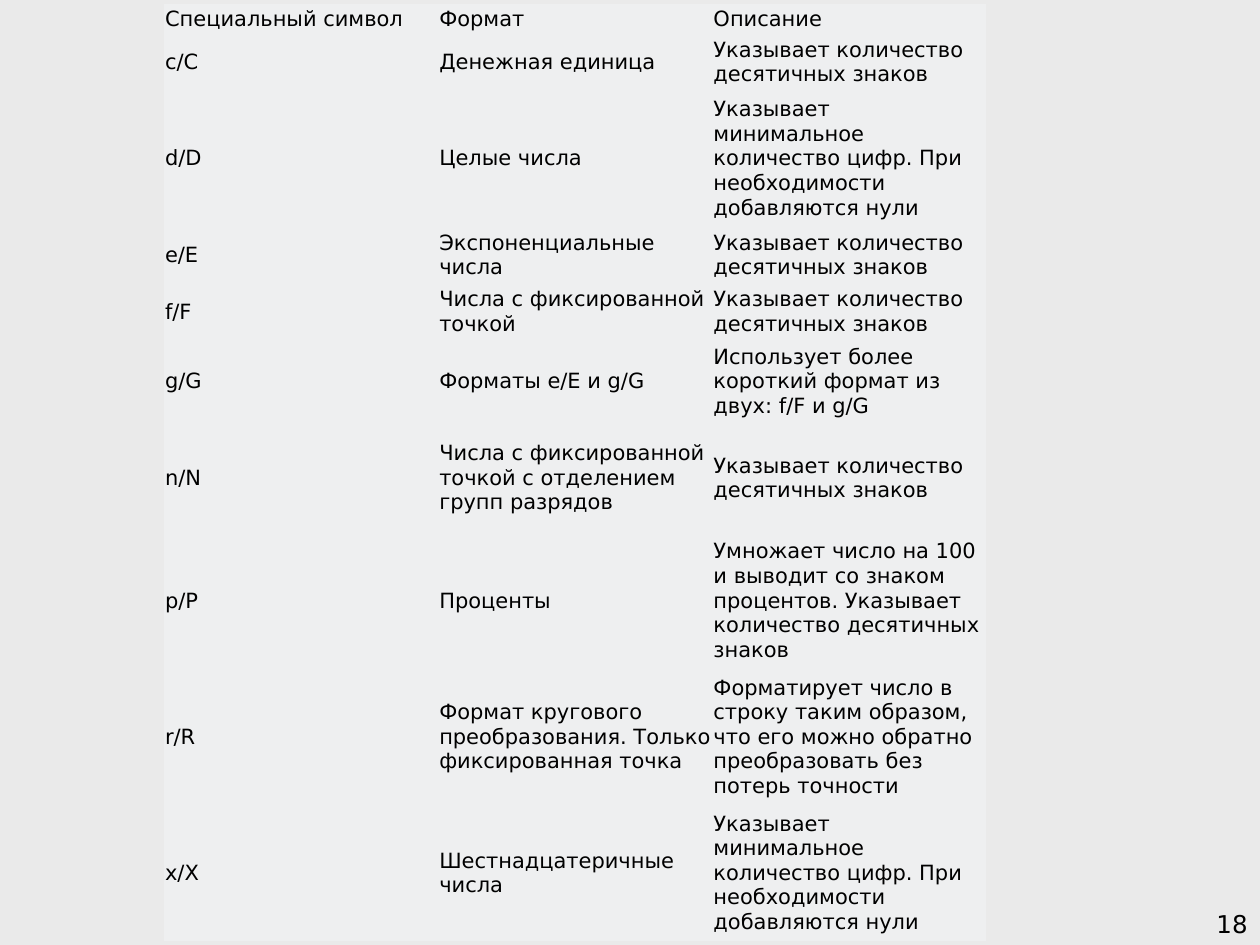
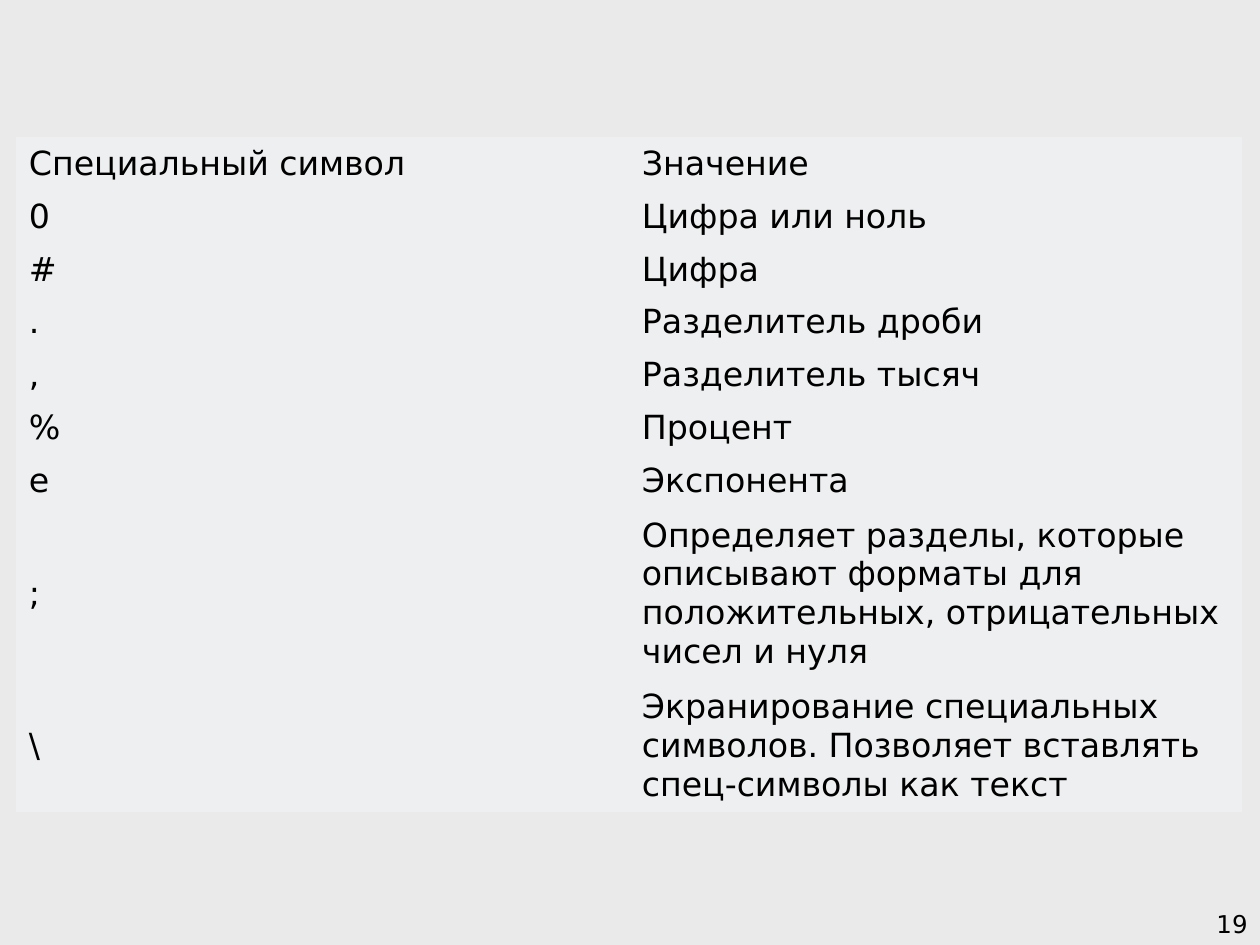
from dataclasses import dataclass

import pptx
import pptx.dml.color
import pptx.enum.text
import pptx.oxml.ns
import pptx.util

Inches = pptx.util.Inches
Anchor = pptx.enum.text.MSO_ANCHOR
Align = pptx.enum.text.PP_ALIGN


@dataclass(frozen=True)
class Theme:
    background: str = "EAEAEA"
    cell: str = "EEEFF0"
    text: str = "000000"
    font: str = "DejaVu Sans"
    dense_size: int = 12
    number_size: int = 14
    large_size: int = 19
    plain_table: str = "{2D5ABB26-0587-4C30-8999-92F81FD0307C}"


class Deck:
    def __init__(self, theme):
        self.theme = theme
        self.presentation = pptx.Presentation()
        self.presentation.slide_width = Inches(10)
        self.presentation.slide_height = Inches(7.5)
        self.slide = None

    def paint(self, fill, colour):
        fill.solid()
        fill.fore_color.rgb = pptx.dml.color.RGBColor.from_string(colour)

    def add_slide(self):
        self.slide = self.presentation.slides.add_slide(self.presentation.slide_layouts[6])
        self.paint(self.slide.background.fill, self.theme.background)

    def add_run(self, paragraph, text, size):
        run = paragraph.add_run()
        run.text = text
        run.font.name = self.theme.font
        run.font.size = pptx.util.Pt(size)
        run.font.color.rgb = pptx.dml.color.RGBColor.from_string(self.theme.text)

    def add_number(self, number):
        shape = self.slide.shapes.add_textbox(Inches(7.92), Inches(7), Inches(2.08), Inches(0.5))
        frame = shape.text_frame
        frame.word_wrap = True
        frame.vertical_anchor = Anchor.BOTTOM
        paragraph = frame.paragraphs[0]
        paragraph.alignment = Align.RIGHT
        self.add_run(paragraph, str(number), self.theme.number_size)

    def add_table(self, rows, heights, left, top, width, size, margins):
        column_count = len(rows[0])
        shape = self.slide.shapes.add_table(
            len(rows), column_count, Inches(left), Inches(top), Inches(width), Inches(sum(heights)))
        table = shape.table
        table.first_row = False
        table.horz_banding = False
        style = shape.element.find(".//" + pptx.oxml.ns.qn("a:tableStyleId"))
        style.text = self.theme.plain_table
        for column in table.columns:
            column.width = Inches(width / column_count)
        for row, height, texts in zip(table.rows, heights, rows):
            row.height = Inches(height)
            for cell, text in zip(row.cells, texts):
                self.fill_cell(cell, text, size, margins)

    def fill_cell(self, cell, text, size, margins):
        horizontal, vertical = margins
        cell.margin_left = cell.margin_right = Inches(horizontal)
        cell.margin_top = cell.margin_bottom = Inches(vertical)
        cell.vertical_anchor = Anchor.MIDDLE
        self.paint(cell.fill, self.theme.cell)
        self.add_run(cell.text_frame.paragraphs[0], text, size)


DECIMALS = "Указывает количество десятичных знаков"
MINIMUM_DIGITS = "Указывает минимальное количество цифр. При необходимости добавляются нули"

STANDARD_FORMATS = [
    ("Специальный символ", "Формат", "Описание"),
    ("c/C", "Денежная единица", DECIMALS),
    ("d/D", "Целые числа", MINIMUM_DIGITS),
    ("e/E", "Экспоненциальные числа", DECIMALS),
    ("f/F", "Числа с фиксированной точкой", DECIMALS),
    ("g/G", "Форматы e/E и g/G", "Использует более короткий формат из двух: f/F и g/G"),
    ("n/N", "Числа с фиксированной точкой с отделением групп разрядов", DECIMALS),
    ("p/P", "Проценты",
     "Умножает число на 100 и выводит со знаком процентов. Указывает количество десятичных знаков"),
    ("r/R", "Формат кругового преобразования. Только фиксированная точка",
     "Форматирует число в строку таким образом, что его можно обратно преобразовать "
     "без потерь точности"),
    ("x/X", "Шестнадцатеричные числа", MINIMUM_DIGITS),
]
STANDARD_HEIGHTS = [0.24, 0.45, 1.08, 0.45, 0.45, 0.66, 0.87] + [1.08] * 3

CUSTOM_SYMBOLS = [
    ("Специальный символ", "Значение"),
    ("0", "Цифра или ноль"),
    ("#", "Цифра"),
    (".", "Разделитель дроби"),
    (",", "Разделитель тысяч"),
    ("%", "Процент"),
    ("e", "Экспонента"),
    (";", "Определяет разделы, которые описывают форматы для положительных, "
          "отрицательных чисел и нуля"),
    ("\\", "Экранирование специальных символов. Позволяет вставлять спец-символы как текст"),
]
CUSTOM_HEIGHTS = [0.42] * 7 + [1.35, 1.04]


def main():
    theme = Theme()
    deck = Deck(theme)

    deck.add_slide()
    deck.add_table(STANDARD_FORMATS, STANDARD_HEIGHTS, left=1.3, top=0.03, width=6.53,
                   size=theme.dense_size, margins=(0.01, 0.01))
    deck.add_number(18)

    deck.add_slide()
    deck.add_number(19)
    deck.add_table(CUSTOM_SYMBOLS, CUSTOM_HEIGHTS, left=0.13, top=1.09, width=9.73,
                   size=theme.large_size, margins=(0.1, 0.05))

    deck.presentation.save("out.pptx")


if __name__ == "__main__":
    main()
